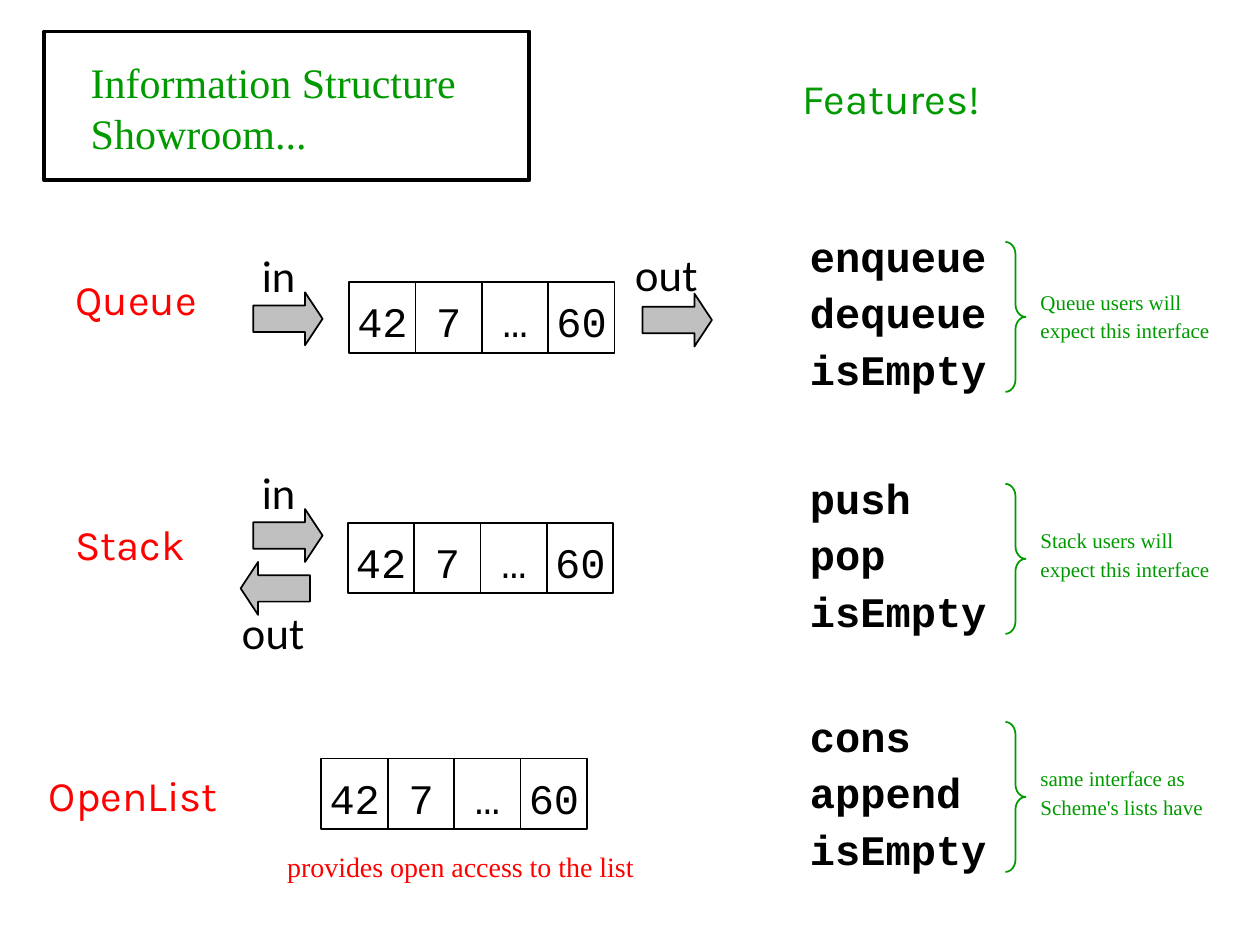
from pptx import Presentation
from pptx.dml.color import RGBColor
from pptx.enum.shapes import MSO_SHAPE as Shape
from pptx.enum.text import MSO_ANCHOR as Anchor, PP_ALIGN as Align
from pptx.util import Inches, Pt

BLACK = RGBColor(0x00, 0x00, 0x00)
WHITE = RGBColor(0xFF, 0xFF, 0xFF)
GRAY = RGBColor(0xC0, 0xC0, 0xC0)
RED = RGBColor(0xFF, 0x00, 0x00)
GREEN = RGBColor(0x00, 0x99, 0x00)

HEADING, LABEL, CODE, PROSE = "Karla", "Lato", "Courier New", "Times New Roman"
CELL_WIDTH, CELL_HEIGHT = 5.27, 5.6
VALUES = ("42", "7", "…", "60")

STRUCTURES = (
    ("Queue", (5, 21.2), (27.7, 22.4), 19.2, 23.2,
     ("enqueue", "dequeue", "isEmpty"),
     ("Queue users will", "expect this interface")),
    ("Stack", (5, 40.7), (27.6, 41.5), 38.4, 42.1,
     ("push", "pop", "isEmpty"),
     ("Stack users will", "expect this interface")),
    ("OpenList", (2.9, 60.6), (25.5, 60.2), 57.3, 61,
     ("cons", "append", "isEmpty"),
     ("same interface as", "Scheme's lists have")),
)

ARROWS = (
    (Shape.RIGHT_ARROW, 20.1, 23.2, "in", 19.8, 19.4),
    (Shape.RIGHT_ARROW, 51, 23.3, "out", 49.4, 19.3),
    (Shape.RIGHT_ARROW, 20.1, 40.4, "in", 19.8, 36.6),
    (Shape.LEFT_ARROW, 19.1, 44.6, "out", 18.2, 47.7),
)


class Showroom:
    """Draws the slide's elements on a grid of 100 columns by 75 rows."""

    def __init__(self, deck):
        self.column = deck.slide_width / 100
        self.row = deck.slide_height / 75
        self.slide = deck.slides.add_slide(deck.slide_layouts[5])

    def place(self, left, top, width, height):
        return (round(left * self.column), round(top * self.row),
                round(width * self.column), round(height * self.row))

    def fill_text(self, box, lines, size, font, color, align, bold, spacing, gap):
        frame = box.text_frame
        frame.word_wrap = True
        frame.vertical_anchor = Anchor.TOP
        frame.text = "\n".join(lines)
        for index, para in enumerate(frame.paragraphs):
            para.alignment = align
            para.line_spacing = spacing
            para.space_before = Pt(gap if index else 0)
            para.font.size = Pt(size)
            para.font.name = font
            para.font.bold = bold
            para.font.color.rgb = color

    def title(self, text, *area):
        box = self.slide.shapes.title
        box.left, box.top, box.width, box.height = self.place(*area)
        self.fill_text(box, [text], 24, PROSE, GREEN, Align.LEFT, False, 1.0, 0)

    def text(self, lines, area, font, color, size=24, align=Align.LEFT,
             bold=False, spacing=1.0, gap=0):
        box = self.slide.shapes.add_textbox(*self.place(*area))
        self.fill_text(box, lines, size, font, color, align, bold, spacing, gap)

    def shape(self, kind, area, fill=None, line=BLACK, weight=1, adjust=()):
        shape = self.slide.shapes.add_shape(kind, *self.place(*area))
        shape.shadow.inherit = False
        if fill is None:
            shape.fill.background()
        else:
            shape.fill.solid()
            shape.fill.fore_color.rgb = fill
        shape.line.color.rgb = line
        shape.line.width = Pt(weight)
        for index, value in enumerate(adjust):
            shape.adjustments[index] = value

    def cells(self, left, top):
        lefts = [left + index * CELL_WIDTH for index in range(len(VALUES))]
        for cell_left in lefts:
            self.shape(Shape.RECTANGLE, (cell_left, top, CELL_WIDTH, CELL_HEIGHT), WHITE)
        for value, cell_left in zip(VALUES, lefts):
            self.text([value], (cell_left - 1.3, top + 0.6, 7.9, 5), CODE, BLACK,
                      align=Align.CENTER)

    def arrow(self, kind, left, top, label, label_left, label_top):
        self.shape(kind, (left, top, 5.5, 4.2), GRAY, adjust=(0.5, 0.33))
        self.text([label], (label_left, label_top, 8.5, 5), LABEL, BLACK)

    def features(self, top, note_top, methods, note):
        self.text(methods, (63.3, top, 24.8, 12.4), CODE, BLACK,
                  bold=True, spacing=0.6, gap=15)
        self.shape(Shape.RIGHT_BRACE, (79.8, top, 1.6, 11.9), line=GREEN,
                   adjust=(0.62, 0.5))
        self.text(note, (81.6, note_top, 16.7, 4.5), PROSE, GREEN, size=12,
                  spacing=0.6, gap=7.5)


def main():
    deck = Presentation()
    deck.slide_width, deck.slide_height = Inches(10), Inches(7.5)
    room = Showroom(deck)
    room.title("Information Structure Showroom...", 6.2, 4, 32.5, 9)
    room.shape(Shape.RECTANGLE, (3.5, 2.5, 38.5, 11.8), weight=2.25)
    room.text(["Features!"], (60.2, 5.3, 21.1, 5), HEADING, GREEN, align=Align.CENTER)
    for name, (left, top), cells, feature_top, note_top, methods, note in STRUCTURES:
        room.text([name], (left, top, 20.5, 5), HEADING, RED)
        room.cells(*cells)
        room.features(feature_top, note_top, methods, note)
    for arrow in ARROWS:
        room.arrow(*arrow)
    room.text(["provides open access to the list"], (17.8, 66.9, 37.5, 3.7),
              PROSE, RED, size=16, align=Align.CENTER)
    deck.save("out.pptx")


if __name__ == "__main__":
    main()
